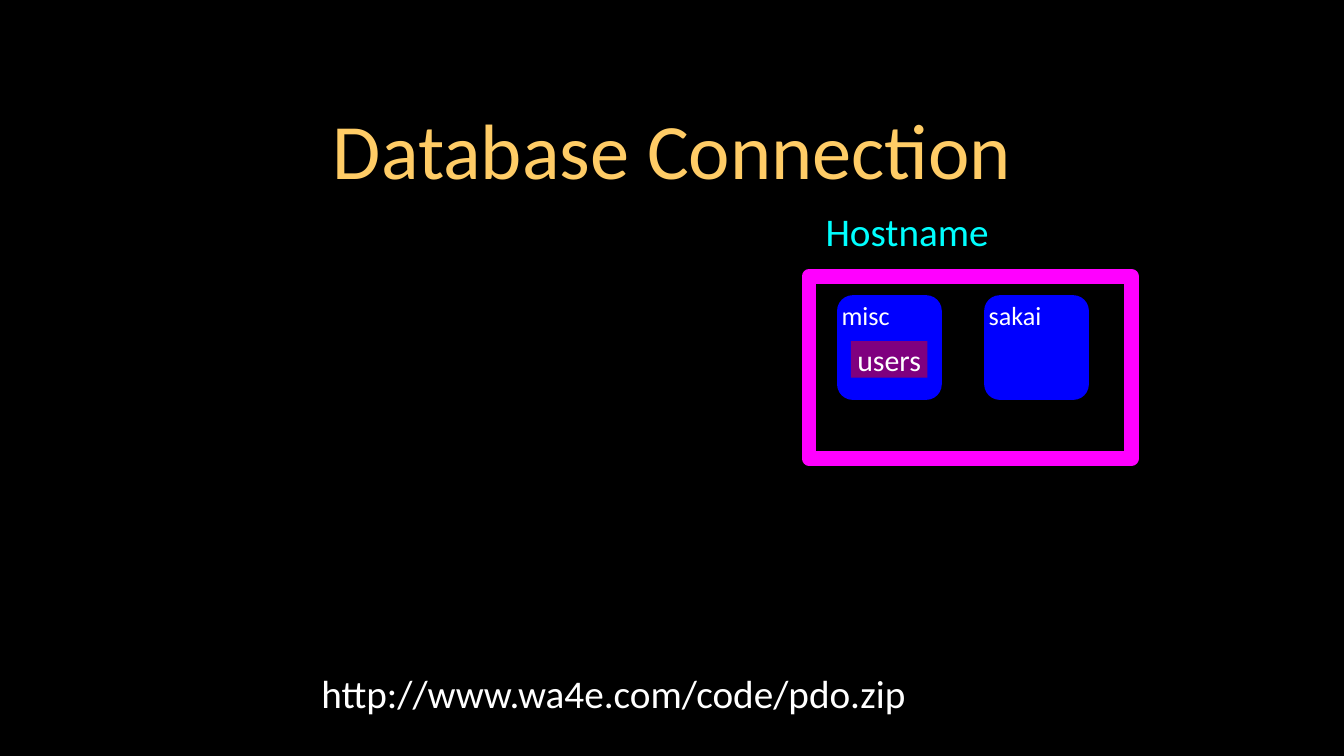
from pptx import Presentation
from pptx.dml.color import RGBColor
from pptx.enum.shapes import MSO_SHAPE as Shape
from pptx.enum.text import MSO_ANCHOR as Anchor, MSO_AUTO_SIZE as AutoSize, PP_ALIGN as Align
from pptx.util import Cm, Pt


def write(box, text, size, color="FFFFFF", align=Align.CENTER,
          anchor=Anchor.MIDDLE, margin=0, wrap=False):
    frame = box.text_frame
    frame.auto_size = AutoSize.NONE
    frame.word_wrap = wrap
    frame.vertical_anchor = anchor
    frame.margin_left = frame.margin_right = Cm(margin)
    frame.margin_top = frame.margin_bottom = Cm(margin)
    para = frame.paragraphs[0]
    para.alignment = align
    span = para.add_run()
    span.text = text
    span.font.name = "Calibri"
    span.font.size = Pt(size)
    span.font.color.rgb = RGBColor.from_string(color)


def add_block(kind, left, top, width, height, fill=None, line=None):
    block = page.shapes.add_shape(kind, Cm(left), Cm(top), Cm(width), Cm(height))
    block.shadow.inherit = False
    if fill:
        block.fill.solid()
        block.fill.fore_color.rgb = RGBColor.from_string(fill)
    else:
        block.fill.background()
    if line:
        block.line.color.rgb = RGBColor.from_string(line)
        block.line.width = Pt(8)
    else:
        block.line.fill.background()
    return block


deck = Presentation()
deck.slide_width, deck.slide_height = Cm(25.4), Cm(14.29)
page = deck.slides.add_slide(deck.slide_layouts[5])
page.background.fill.solid()
page.background.fill.fore_color.rgb = RGBColor.from_string("000000")

title = page.shapes.title
title.left, title.top, title.width, title.height = Cm(2.36), Cm(1.65), Cm(20.68), Cm(2.31)
write(title, "Database Connection", 42, color="FFCC66", margin=0.15, wrap=True)

for text, left, top, width, color in [
    ("Hostname", 15.34, 3.91, 3.61, "00FFFF"),
    ("http://www.wa4e.com/code/pdo.zip", 5.36, 12.65, 12.47, "FFFFFF"),
]:
    label = page.shapes.add_textbox(Cm(left), Cm(top), Cm(width), Cm(0.89))
    write(label, text, 21, color=color)

# The server holds two databases, and the first one holds a table
add_block(Shape.RECTANGLE, 15.29, 5.23, 6.1, 3.43, line="FF00FF")
for column, name in enumerate(["misc", "sakai"]):
    database = add_block(Shape.ROUNDED_RECTANGLE, 15.82 + column * 2.78, 5.58, 1.98, 1.98,
                         fill="0000FF")
    database.adjustments[0] = 0.15
    write(database, name, 14, align=Align.LEFT, anchor=Anchor.TOP, wrap=True)
users_table = add_block(Shape.RECTANGLE, 16.08, 6.45, 1.45, 0.69, fill="7F007F")
write(users_table, "users", 16)

deck.save("out.pptx")
